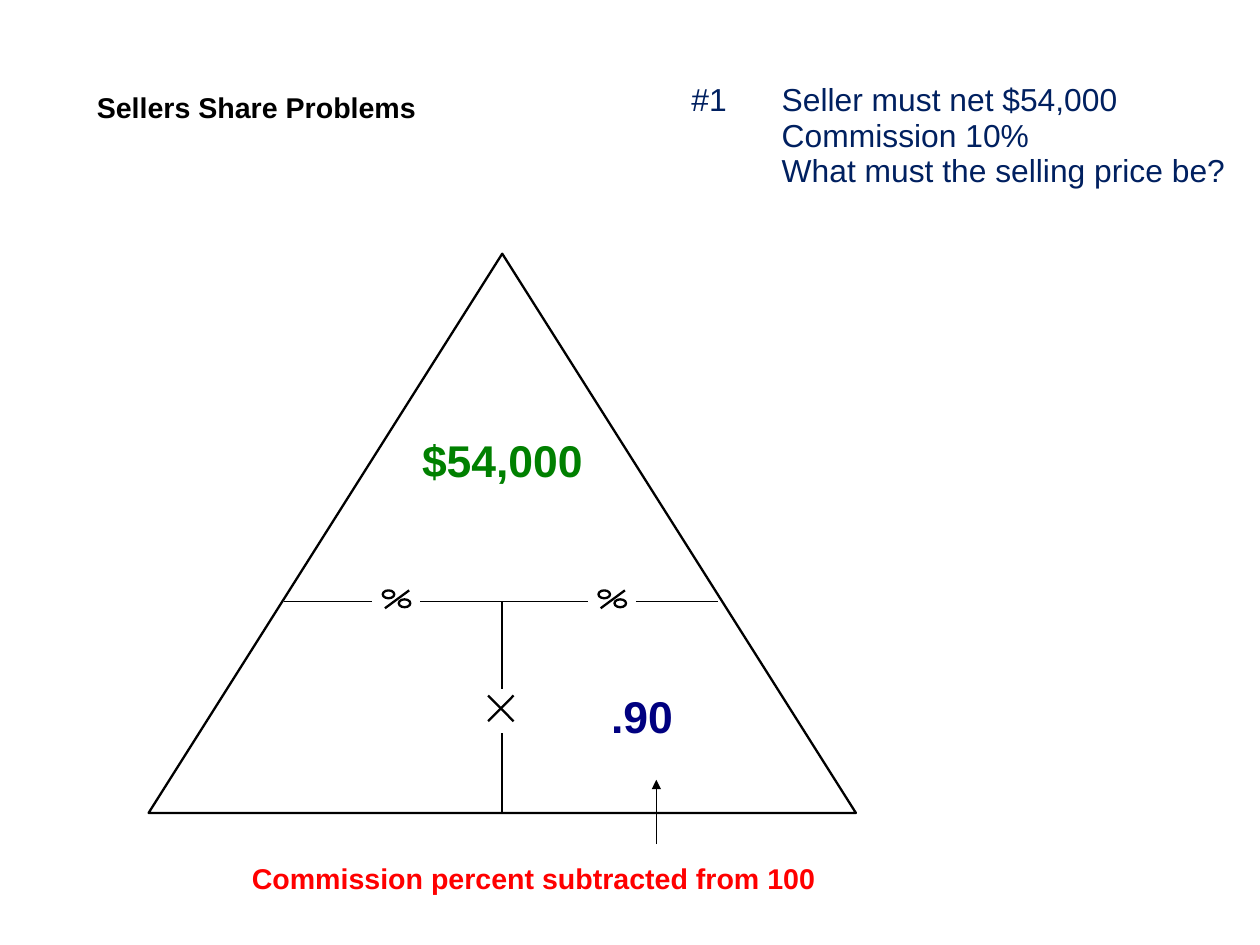
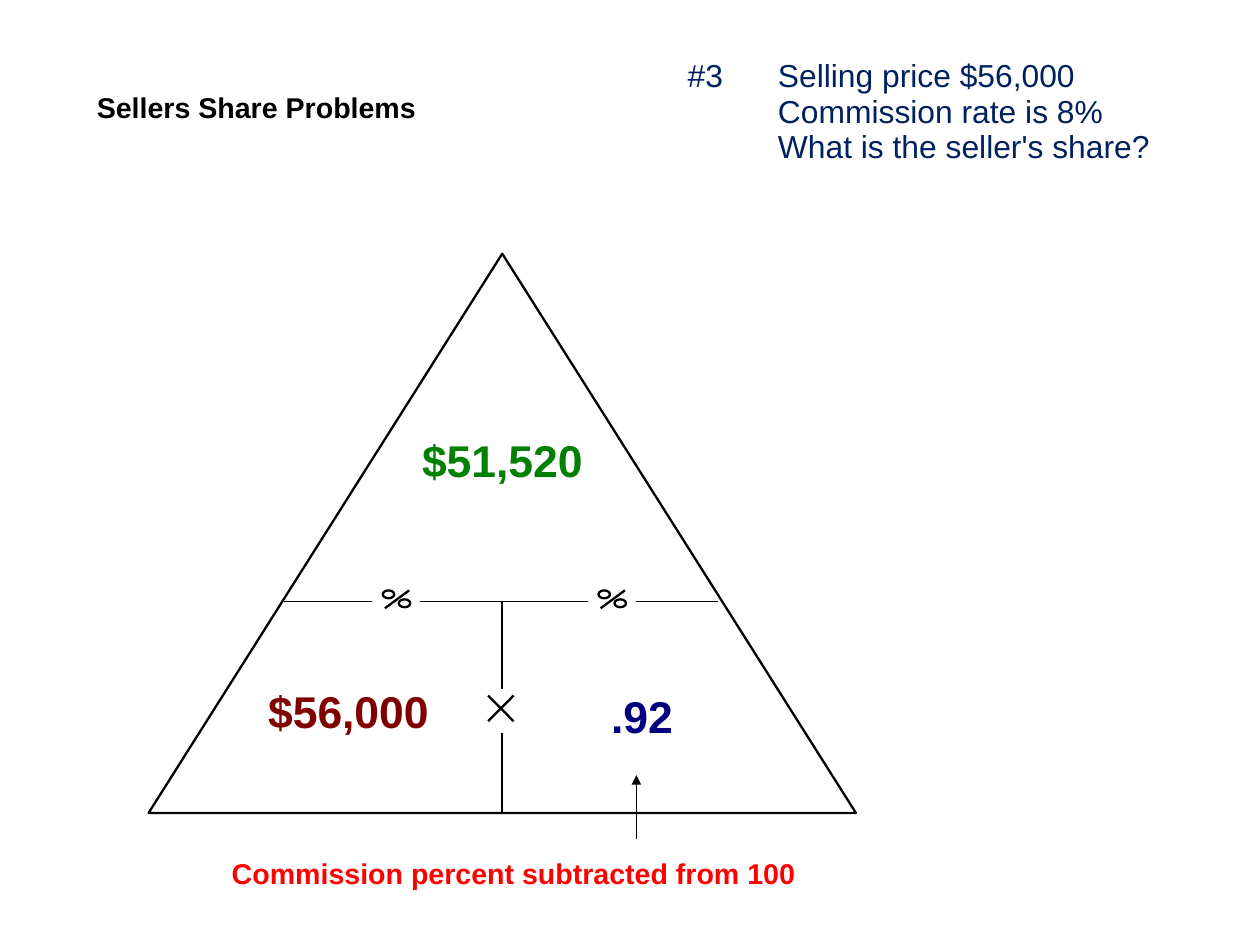
import dataclasses

import lxml.etree
import pptx
import pptx.dml.color
import pptx.enum.shapes
import pptx.enum.text
import pptx.oxml.ns
import pptx.util

COLUMNS, ROWS = 44, 33
FONT = "Arial"
BLACK, NAVY, BLUE = "000000", "002060", "000080"
GREEN, MAROON, RED = "008000", "800000", "FF0000"
THICK, THIN = 1.45, 0.75
SHAPES = pptx.enum.shapes.MSO_SHAPE
ALIGN = pptx.enum.text.PP_ALIGN

PROBLEMS = [
    dict(question="#1 \tSeller must net $54,000\n\tCommission 10%\n"
                  "\tWhat must the selling price be?",
         question_at=(23.75, 2.63), share="$54,000", price="", rate=".90",
         hint_at=(8.4, 27.23)),
    dict(question="#3 \tSelling price $56,000\n\tCommission rate is 8%\n"
                  "\tWhat is the seller's share?",
         question_at=(23.62, 1.8), share="$51,520", price="$56,000", rate=".92",
         hint_at=(7.7, 27.07)),
]


@dataclasses.dataclass
class Box:
    left: float
    top: float
    width: float
    height: float

    def point(self, x, y):
        """Point at x and y percent of the box."""
        return (round(self.left + self.width * x / 100),
                round(self.top + self.height * y / 100))

    def sub(self, x, y, width, height):
        """Inner box given in percent of this one."""
        return Box(*self.point(x, y), self.width * width / 100,
                   self.height * height / 100)

    def bounds(self):
        return tuple(round(v) for v in (self.left, self.top, self.width, self.height))


def grid_box(deck, column, row, columns, rows):
    cell_w, cell_h = deck.slide_width / COLUMNS, deck.slide_height / ROWS
    return Box(column * cell_w, row * cell_h, columns * cell_w, rows * cell_h)


def rgb(value):
    return pptx.dml.color.RGBColor.from_string(value)


def add_element(parent, tag, **attributes):
    element = lxml.etree.SubElement(parent, pptx.oxml.ns.qn(tag))
    for name, value in attributes.items():
        element.set(name, str(value))
    return element


def write(holder, text, *, size, color, bold=False, align=ALIGN.LEFT,
          inset_top=0.07, tab=None):
    frame = holder.text_frame
    frame.word_wrap = True
    frame.auto_size = pptx.enum.text.MSO_AUTO_SIZE.NONE
    frame.vertical_anchor = pptx.enum.text.MSO_ANCHOR.TOP
    frame.margin_left = frame.margin_right = pptx.util.Inches(0.1)
    frame.margin_top = pptx.util.Inches(inset_top)
    frame.margin_bottom = pptx.util.Inches(0.05)
    for index, line in enumerate(text.split("\n")):
        paragraph = frame.add_paragraph() if index else frame.paragraphs[0]
        paragraph.alignment = align
        paragraph.line_spacing = 0.93
        if tab:
            tabs = add_element(paragraph._p.get_or_add_pPr(), "a:tabLst")
            add_element(tabs, "a:tab", pos=pptx.util.Inches(tab), algn="l")
        run = paragraph.add_run()
        run.text = line
        run.font.name = FONT
        run.font.size = pptx.util.Pt(size)
        run.font.bold = bold
        run.font.color.rgb = rgb(color)


def add_text(slide, box, text, **style):
    write(slide.shapes.add_textbox(*box.bounds()), text, **style)


def set_line(shape, weight):
    shape.line.color.rgb = rgb(BLACK)
    shape.line.width = pptx.util.Pt(weight)


def add_outline(slide, kind, box):
    shape = slide.shapes.add_shape(kind, *box.bounds())
    shape.shadow.inherit = False
    shape.fill.background()
    set_line(shape, THICK)


def add_line(slide, start, end, weight=THICK, arrow=False):
    line = slide.shapes.add_connector(
        pptx.enum.shapes.MSO_CONNECTOR.STRAIGHT, *start, *end)
    set_line(line, weight)
    if arrow:
        add_element(line.line._get_or_add_ln(), "a:tailEnd", type="triangle")
    add_element(line._element.spPr, "a:effectLst")


def add_title(slide, box, text):
    title = slide.shapes.title
    title.left, title.top, title.width, title.height = box.bounds()
    write(title, text, size=18, color=BLACK, bold=True)


def add_percent_sign(slide, box):
    add_line(slide, box.point(8, 100), box.point(96, 0))
    for x, y in ((0, 0), (58, 50)):
        add_outline(slide, SHAPES.OVAL, box.sub(x, y, 42, 44))


def add_times_sign(slide, box):
    add_line(slide, box.point(0, 100), box.point(100, 0))
    add_line(slide, box.point(100, 100), box.point(0, 0))


def add_triangle(slide, box, share, price, rate):
    add_outline(slide, SHAPES.ISOSCELES_TRIANGLE, box)
    # Divider below the share, broken by a sign on each side
    divider, middle, half_gap = 62.2, 50, 3.4
    for start, sign, end in ((19.2, 35, middle), (middle, 65.5, 80.5)):
        for x1, x2 in ((start, sign - half_gap), (sign + half_gap, end)):
            add_line(slide, box.point(x1, divider), box.point(x2, divider), THIN)
        add_percent_sign(slide, box.sub(sign - 1.9, 60.2, 3.9, 3.2))
    # Upright between price and rate
    for y1, y2 in ((divider, 77.8), (85.7, 100)):
        add_line(slide, box.point(middle, y1), box.point(middle, y2))
    add_times_sign(slide, box.sub(48, 79, 3.6, 4.6))
    # Values
    value = dict(size=28, bold=True, inset_top=0.08)
    add_text(slide, box.sub(35, 31.2, 30, 11), share, color=GREEN,
             align=ALIGN.CENTER, **value)
    add_text(slide, box.sub(63.8, 77.1, 16, 11), rate, color=BLUE, **value)
    if price:
        add_text(slide, box.sub(15.3, 76.2, 30, 11), price, color=MAROON, **value)


def add_hint(slide, box):
    add_line(slide, box.point(68.5, 52.8), box.point(68.5, 0), THIN, arrow=True)
    add_text(slide, box.sub(0, 62.3, 100, 36), "Commission percent subtracted from 100",
             size=18, color=RED, bold=True)


def add_problem_slide(deck, problem):
    slide = deck.slides.add_slide(deck.slide_layouts.get_by_name("Title Only"))
    add_title(slide, grid_box(deck, 2.98, 2.97, 13, 1.5), "Sellers Share Problems")
    add_text(slide, grid_box(deck, *problem["question_at"], 20, 4.9),
             problem["question"], size=20, color=NAVY, tab=0.79)
    add_triangle(slide, grid_box(deck, 5.19, 8.86, 24.7, 19.53),
                 problem["share"], problem["price"], problem["rate"])
    add_hint(slide, grid_box(deck, *problem["hint_at"], 21.2, 4.25))


def main():
    deck = pptx.Presentation()
    deck.slide_width = pptx.util.Cm(28)
    deck.slide_height = pptx.util.Cm(21)
    # The template's preset paper type does not fit this size
    deck.element.sldSz.attrib.pop("type", None)
    for problem in PROBLEMS:
        add_problem_slide(deck, problem)
    deck.save("out.pptx")


if __name__ == "__main__":
    main()
